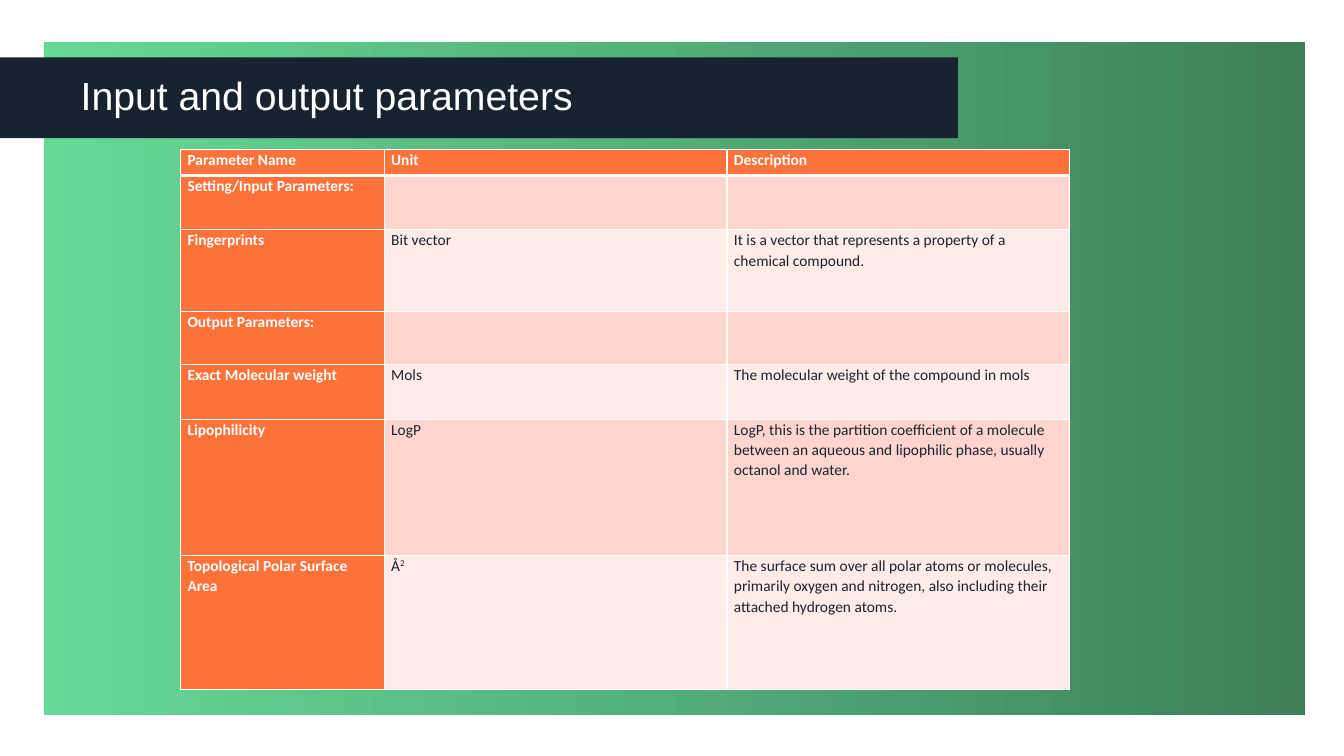
from dataclasses import dataclass

from lxml.etree import SubElement
from pptx import Presentation
from pptx.dml.color import RGBColor
from pptx.enum.shapes import MSO_SHAPE
from pptx.enum.text import MSO_ANCHOR, MSO_AUTO_SIZE, PP_ALIGN
from pptx.oxml.ns import qn
from pptx.slide import Slide
from pptx.table import _Cell as Cell
from pptx.text.text import _Paragraph as Paragraph
from pptx.util import Inches, Pt


@dataclass(frozen=True)
class Theme:
    white: str = "FFFFFF"
    navy: str = "19232F"
    orange: str = "FF733B"
    bands: tuple[str, str] = ("FFD5CE", "FFEBE8")
    gradient: tuple[tuple[str, int], ...] = (("2CCB70", 73), ("166638", 83))
    title_font: str = "Arial"
    table_font: str = "Calibri"
    title_size: float = 28
    table_size: float = 11


@dataclass(frozen=True)
class ParameterRow:
    height: float
    name: str
    unit: str = ""
    description: str = ""
    unit_exponent: str = ""


THEME = Theme()
COLUMN_WIDTHS = (2.02, 3.4, 3.4)
ROWS = (
    ParameterRow(0.26, "Parameter Name", "Unit", "Description"),
    ParameterRow(0.54, "Setting/Input Parameters:"),
    ParameterRow(0.81, "Fingerprints", "Bit vector",
                 "It is a vector that represents a property of a chemical compound."),
    ParameterRow(0.53, "Output Parameters:"),
    ParameterRow(0.54, "Exact Molecular weight", "Mols",
                 "The molecular weight of the compound in mols"),
    ParameterRow(1.35, "Lipophilicity", "LogP",
                 "LogP, this is the partition coefficient of a molecule between an "
                 "aqueous and lipophilic phase, usually octanol and water."),
    ParameterRow(1.33, "Topological Polar Surface Area", "Å",
                 "The surface sum over all polar atoms or molecules, primarily oxygen "
                 "and nitrogen, also including their attached hydrogen atoms.",
                 unit_exponent="2"),
)


def add_text(paragraph: Paragraph, text: str, *, font: str, size: float, color: str,
             bold: bool = False, superscript: bool = False) -> None:
    run = paragraph.add_run()
    run.text = text
    run.font.name = font
    run.font.size = Pt(size)
    run.font.bold = bold
    run.font.color.rgb = RGBColor.from_string(color)
    if superscript:
        run._r.get_or_add_rPr().set("baseline", "30000")


def add_background(slide: Slide) -> None:
    """Draw the gradient panel behind the title bar."""
    panel = slide.shapes.add_shape(MSO_SHAPE.RECTANGLE, Inches(0.44), Inches(0.42),
                                   Inches(12.5), Inches(6.67))
    panel.shadow.inherit = False
    panel.line.fill.background()
    panel.fill.gradient()
    panel.fill.gradient_angle = 0
    for stop, (color, _) in zip(panel.fill.gradient_stops, THEME.gradient):
        stop.color.rgb = RGBColor.from_string(color)
    for element, (_, opacity) in zip(panel.element.iter(qn("a:srgbClr")), THEME.gradient):
        SubElement(element, qn("a:alpha"), val=str(opacity * 1000))
    panel.element.addnext(slide.shapes.title.element)


def format_title(slide: Slide, text: str) -> None:
    title = slide.shapes.title
    title.left, title.top = Inches(0), Inches(0.57)
    title.width, title.height = Inches(9.5), Inches(0.8)
    title.fill.solid()
    title.fill.fore_color.rgb = RGBColor.from_string(THEME.navy)
    frame = title.text_frame
    frame.auto_size = MSO_AUTO_SIZE.NONE
    frame.vertical_anchor = MSO_ANCHOR.MIDDLE
    frame.margin_left = Inches(0.8)
    paragraph = frame.paragraphs[0]
    paragraph.alignment = PP_ALIGN.LEFT
    paragraph.line_spacing = 0.9
    add_text(paragraph, text, font=THEME.title_font, size=THEME.title_size,
             color=THEME.white)


def set_borders(cell: Cell, widths: dict[str, float]) -> None:
    properties = cell._tc.get_or_add_tcPr()
    for side, width in widths.items():
        line = SubElement(properties, qn(f"a:ln{side}"), w=str(Pt(width)))
        fill = SubElement(line, qn("a:solidFill"))
        SubElement(fill, qn("a:srgbClr"), val=THEME.white)


def fill_cell(cell: Cell, text: str, exponent: str, *, row: int, column: int) -> None:
    is_heading = row == 0 or column == 0
    set_borders(cell, {"L": 1, "R": 1, "T": 3 if row == 1 else 1,
                       "B": 3 if row == 0 else 1})
    cell.fill.solid()
    background = THEME.orange if is_heading else THEME.bands[(row - 1) % 2]
    cell.fill.fore_color.rgb = RGBColor.from_string(background)
    cell.margin_left = cell.margin_right = Inches(0.07)
    cell.margin_top = cell.margin_bottom = Inches(0)
    paragraph = cell.text_frame.paragraphs[0]
    paragraph.line_spacing = 1.07
    for part, raised in ((text, False), (exponent, True)):
        if part:
            add_text(paragraph, part, font=THEME.table_font, size=THEME.table_size,
                     color=THEME.white if is_heading else THEME.navy,
                     bold=is_heading, superscript=raised)


def add_parameter_table(slide: Slide) -> None:
    table = slide.shapes.add_table(
        len(ROWS), len(COLUMN_WIDTHS), Inches(1.79), Inches(1.48),
        Inches(sum(COLUMN_WIDTHS)), Inches(sum(row.height for row in ROWS))).table
    for column, width in zip(table.columns, COLUMN_WIDTHS):
        column.width = Inches(width)
    for row_index, row in enumerate(ROWS):
        table.rows[row_index].height = Inches(row.height)
        contents = ((row.name, ""), (row.unit, row.unit_exponent), (row.description, ""))
        for column_index, (text, exponent) in enumerate(contents):
            fill_cell(table.cell(row_index, column_index), text, exponent,
                      row=row_index, column=column_index)


def main() -> None:
    presentation = Presentation()
    presentation.slide_width, presentation.slide_height = Inches(13.33), Inches(7.5)
    title_only = presentation.slide_layouts[5]
    slide = presentation.slides.add_slide(title_only)
    add_background(slide)
    format_title(slide, "Input and output parameters")
    add_parameter_table(slide)
    presentation.save("out.pptx")


if __name__ == "__main__":
    main()
